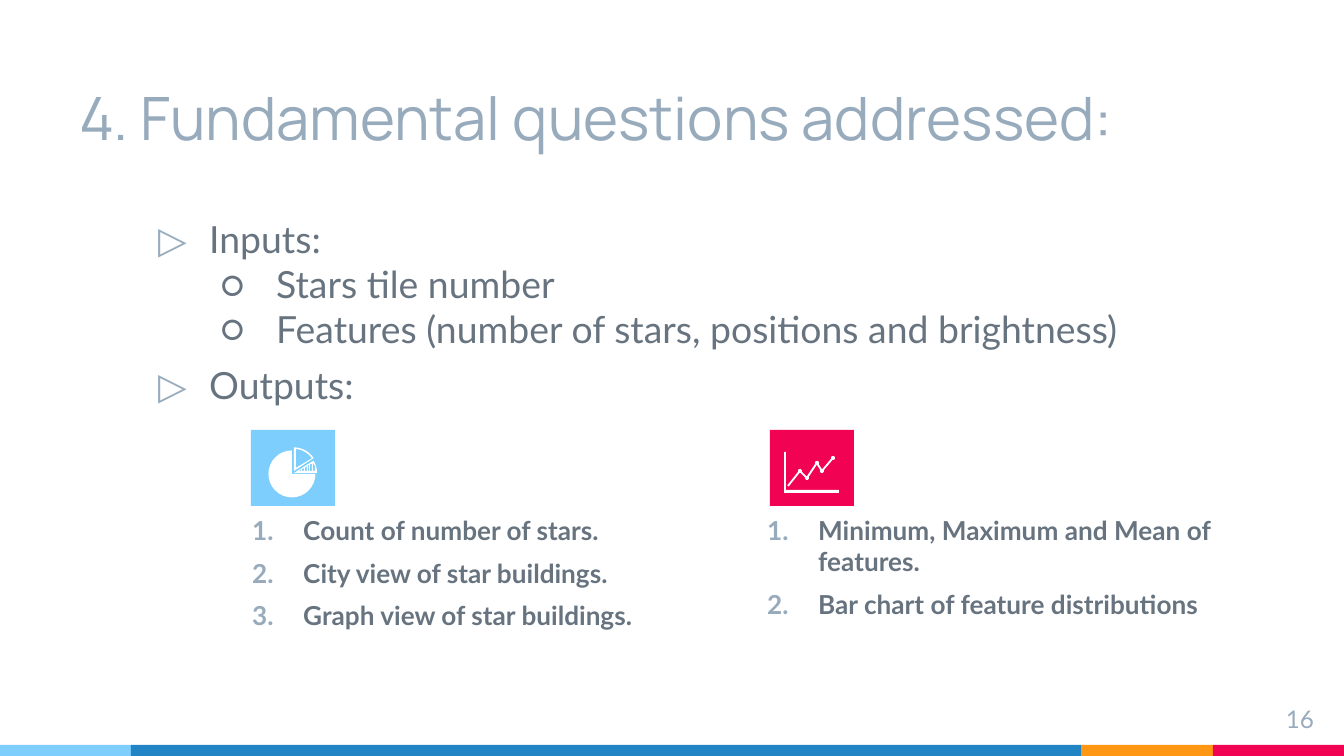
from math import cos, radians, sin

from lxml import etree
from pptx import Presentation
from pptx.dml.color import RGBColor
from pptx.enum.shapes import MSO_SHAPE
from pptx.enum.text import MSO_ANCHOR, PP_ALIGN
from pptx.oxml.ns import qn
from pptx.util import Pt

PX = 914400 / 134.4
W, H = 1344, 756
RECT, OVAL = MSO_SHAPE.RECTANGLE, MSO_SHAPE.OVAL
TOP, BOTTOM = MSO_ANCHOR.TOP, MSO_ANCHOR.BOTTOM
LEFT, RIGHT = PP_ALIGN.LEFT, PP_ALIGN.RIGHT

SKY, BLUE, ORANGE, PINK = "7ECEFD", "2185C5", "FF9715", "F20253"
WHITE, PALE, SLATE = "FFFFFF", "97ABBC", "677480"

FOOTER_TOP = 745
FOOTER = [(SKY, 131), (BLUE, 950), (ORANGE, 132), (PINK, 131)]  # colour, width

TITLE = "4. Fundamental questions addressed:"
PAGE = "16"
OUTLINE = [
    ("Inputs:", "main"),
    ("Stars tile number", "sub"),
    ("Features (number of stars, positions and brightness)", "sub"),
    ("Outputs:", "main"),
]
COUNTS = ["Count of number of stars.", "City view of star buildings.",
          "Graph view of star buildings."]
STATISTICS = ["Minimum, Maximum and Mean of features.",
              "Bar chart of feature distributions"]

# Paragraph styles: bullet, its colour, left edge and hang in px, space before in pt
STYLES = {
    "plain": dict(bullet=None, color=PALE, left=0, hang=0, before=0, level=0),
    "main": dict(bullet="▷", color=PALE, left=67, hang=51, before=6, level=0),
    "sub": dict(bullet="○", color=SLATE, left=134, hang=56, before=0, level=1),
    "number": dict(bullet="1.", color=PALE, left=51, hang=51, before=6, level=0),
}

TITLE_FONT = dict(name="Manrope", size=Pt(32))
OUTLINE_FONT = dict(name="Lato", size=Pt(20))
LIST_FONT = dict(name="Lato", size=Pt(14), bold=True)
PAGE_FONT = dict(name="Lato", size=Pt(13))

# text box: left, top, width, height, (text, style) pairs, font, colour, anchor, alignment
TEXTS = [
    ((66, 40, 1212, 126), [(TITLE, "plain")], TITLE_FONT, PALE, BOTTOM, LEFT),
    ((129, 203, 1044, 190), OUTLINE, OUTLINE_FONT, SLATE, TOP, LEFT),
    ((239, 501, 462, 192), [(t, "number") for t in COUNTS], LIST_FONT, SLATE, TOP, LEFT),
    ((754, 501, 492, 192), [(t, "number") for t in STATISTICS], LIST_FONT, SLATE, TOP, LEFT),
    ((1246, 691, 81, 46), [(PAGE, "plain")], PAGE_FONT, PALE, TOP, RIGHT),
]

TILES = [(251, SKY), (770, PINK)]
TILE_TOP, TILE_W, TILE_H = 430, 84, 76

# Stripes cut from the pie slice: left, right, top left, top right
STRIPE_BASE = 471
STRIPES = [(299, 301, 471, 469), (302, 304, 469, 468), (305, 307, 468, 466),
           (308, 309, 465, 465), (310, 312, 464, 464), (313, 315, 463, 466)]
AXES = [(784, 452), (786, 452), (786, 490), (839, 490), (839, 493), (784, 493)]
TREND = [(788, 486), (800, 471), (807, 478), (817, 463), (822, 471), (833, 458)]
DOT = 2


def emu(px):
    return round(px * PX)


def rgb(color):
    return RGBColor.from_string(color)


def paint(s, color):
    s.shadow.inherit = False
    s.fill.solid()
    s.fill.fore_color.rgb = rgb(color)
    s.line.fill.background()


def add_preset(shapes, kind, box, color):
    paint(shapes.add_shape(kind, *map(emu, box)), color)


def add_outline(shapes, contours, close=True):
    """Build one freeform from contours in px; inner contours become holes."""
    contours = [[(emu(x), emu(y)) for x, y in c] for c in contours]
    builder = shapes.build_freeform(*contours[0][0], scale=1.0)
    for i, points in enumerate(contours):
        if i:
            builder.move_to(*points[0])
        builder.add_line_segments(points[1:], close=close)
    return builder.convert_to_shape()


def arc(cx, cy, r, start, end, steps=24):
    """Points along a circle; degrees run counterclockwise from the right."""
    angles = [radians(start + (end - start) * i / steps) for i in range(steps + 1)]
    return [(cx + r * cos(a), cy - r * sin(a)) for a in angles]


def add_bullet(p, style):
    pPr = p._p.get_or_add_pPr()
    pPr.set("marL", str(emu(style["left"])))
    pPr.set("indent", str(-emu(style["hang"])))
    color = etree.SubElement(pPr, qn("a:buClr"))
    etree.SubElement(color, qn("a:srgbClr"), val=style["color"])
    etree.SubElement(pPr, qn("a:buFont"), typeface="Lato")
    if style["bullet"] == "1.":
        etree.SubElement(pPr, qn("a:buAutoNum"), type="arabicPeriod")
    else:
        etree.SubElement(pPr, qn("a:buChar"), char=style["bullet"])


def add_text(shapes, box, lines, font, color, anchor, align):
    tf = shapes.add_textbox(*map(emu, box)).text_frame
    tf.word_wrap = True
    tf.vertical_anchor = anchor
    for side in ("left", "top", "right", "bottom"):
        setattr(tf, f"margin_{side}", 91440)
    for i, (text, name) in enumerate(lines):
        style = STYLES[name]
        p = tf.add_paragraph() if i else tf.paragraphs[0]
        p.alignment = align
        p.level = style["level"]
        p.space_before = Pt(style["before"] if i else 0)
        if style["bullet"]:
            add_bullet(p, style)
        r = p.add_run()
        r.text = text
        for key, value in font.items():
            setattr(r.font, key, value)
        r.font.color.rgb = rgb(color)


def add_pie_icon(shapes):
    stripes = [[(x1, STRIPE_BASE), (x1, y1), (x2, y2), (x2, STRIPE_BASE)]
               for x1, x2, y1, y2 in STRIPES]
    parts = [
        [[(292, 474)] + arc(292, 474, 23.5, 90, 360)],
        [[(294, 473)] + arc(294, 473, 23, 0, 32)] + stripes,
        [[(294, 471)] + arc(294, 471, 23.5, 90, 33),
         [(296, 468)] + arc(294, 471, 22, 85, 35)],
    ]
    group = shapes.add_group_shape().shapes
    for contours in parts:
        paint(add_outline(group, contours), WHITE)


def add_trend_icon(shapes):
    group = shapes.add_group_shape().shapes
    paint(add_outline(group, [AXES]), WHITE)
    s = add_outline(group, [TREND], close=False)
    s.shadow.inherit = False
    s.fill.background()
    s.line.color.rgb = rgb(WHITE)
    s.line.width = Pt(1)
    for x, y in TREND[1:]:
        add_preset(group, OVAL, (x - DOT, y - DOT, 2 * DOT, 2 * DOT), WHITE)


prs = Presentation()
prs.slide_width, prs.slide_height = emu(W), emu(H)
shapes = prs.slides.add_slide(prs.slide_layouts[6]).shapes

x = 0
for color, width in FOOTER:
    add_preset(shapes, RECT, (x, FOOTER_TOP, width, H - FOOTER_TOP), color)
    x += width
for left, color in TILES:
    add_preset(shapes, RECT, (left, TILE_TOP, TILE_W, TILE_H), color)
add_pie_icon(shapes)
add_trend_icon(shapes)
for text in TEXTS:
    add_text(shapes, *text)

prs.save("out.pptx")
